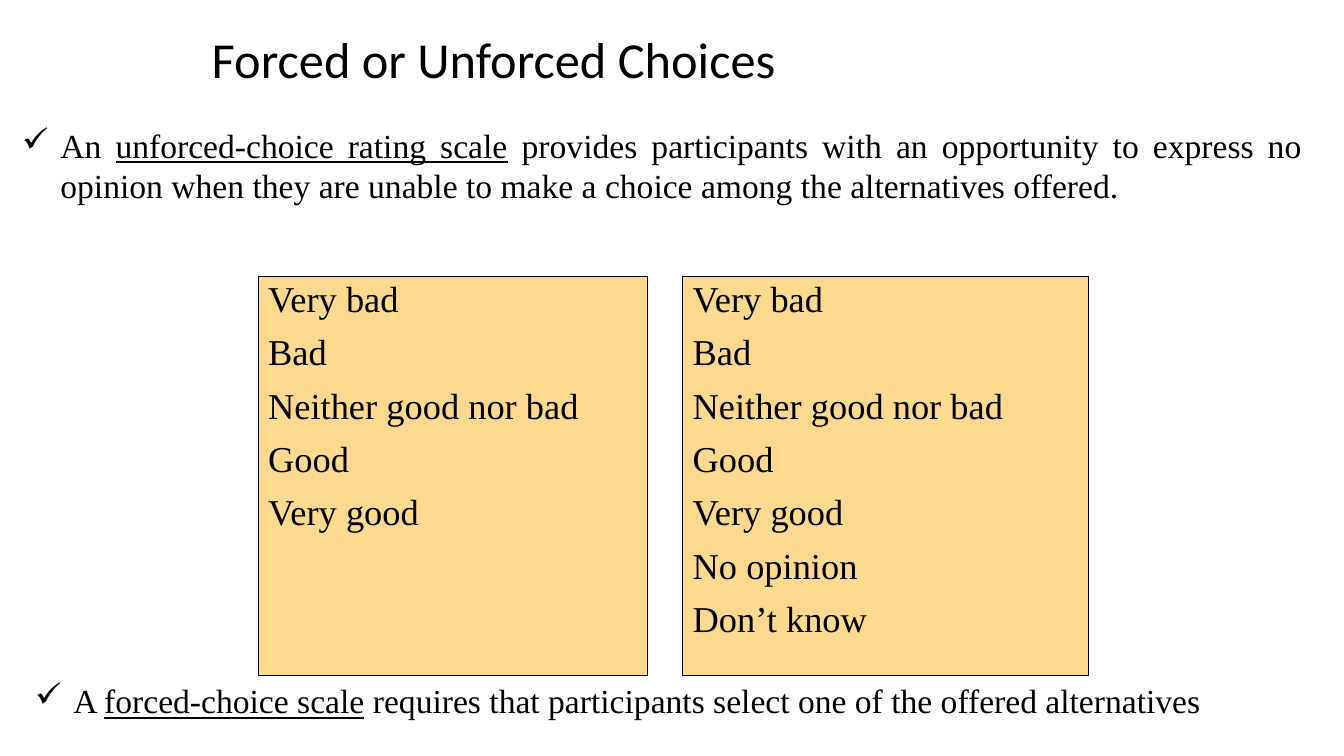
"""Build a slide comparing forced and unforced choice rating scales."""
import pptx
import pptx.dml.color
import pptx.enum.text
import pptx.oxml.xmlchemy
import pptx.util
from pptx.util import Inches

ALIGN = pptx.enum.text.PP_ALIGN
ANCHOR = pptx.enum.text.MSO_ANCHOR
AUTO_SIZE = pptx.enum.text.MSO_AUTO_SIZE
SERIF = "Times New Roman"
RATINGS = ["Very bad", "Bad", "Neither good nor bad", "Good", "Very good"]


def color(value):
    return pptx.dml.color.RGBColor.from_string(value)


def apply(target, values):
    for name, value in values.items():
        setattr(target, name, value)


def place(shape, left, top, width, height):
    apply(shape, {"left": Inches(left), "top": Inches(top),
                  "width": Inches(width), "height": Inches(height)})


def prepare_frame(shape):
    frame = shape.text_frame
    apply(frame, {"word_wrap": True, "auto_size": AUTO_SIZE.NONE,
                  "vertical_anchor": ANCHOR.TOP})
    return frame


def set_bullet(para, mark=None, indent=0):
    properties = para._p.get_or_add_pPr()
    properties.set("marL", str(int(Inches(indent))))
    properties.set("indent", str(-int(Inches(indent))))
    tag = "a:buChar" if mark else "a:buNone"
    bullet = pptx.oxml.xmlchemy.OxmlElement(tag)
    if mark:
        bullet.set("char", mark)
    properties.append(bullet)


def set_font(font, size, name=SERIF):
    apply(font, {"size": pptx.util.Pt(size), "name": name})
    font.color.rgb = color("000000")


def write_title(title, text):
    place(title, 2, 0.3, 9, 1.25)
    para = prepare_frame(title).paragraphs[0]
    apply(para, {"alignment": ALIGN.LEFT, "line_spacing": 0.9})
    span = para.add_run()
    span.text = text
    set_font(span.font, 36, "Calibri")


def write_scale(box, left, width, choices):
    place(box, left, 2.74, width, 3.96)
    box.fill.solid()
    box.fill.fore_color.rgb = color("FDD88F")
    box.line.color.rgb = color("000000")
    box.line.width = pptx.util.Pt(0.75)
    frame = prepare_frame(box)
    for index, choice in enumerate(choices):
        para = frame.add_paragraph() if index else frame.paragraphs[0]
        set_bullet(para)
        apply(para, {"alignment": ALIGN.JUSTIFY, "line_spacing": 0.9,
                     "space_before": pptx.util.Pt(10 if index else 0)})
        span = para.add_run()
        span.text = choice
        set_font(span.font, 26)


def add_definition(slide, position, before, term, after):
    box = slide.shapes.add_textbox(*map(Inches, position))
    para = prepare_frame(box).paragraphs[0]
    set_bullet(para, "✓", 0.38)
    para.alignment = ALIGN.JUSTIFY
    for text, underlined in ((before, False), (term, True), (after, False)):
        span = para.add_run()
        span.text = text
        set_font(span.font, 24)
        span.font.underline = underlined


def main():
    deck = pptx.Presentation()
    apply(deck, {"slide_width": Inches(13.33), "slide_height": Inches(7.5)})
    slide = deck.slides.add_slide(deck.slide_layouts[3])
    write_title(slide.shapes.title, "Forced or Unforced Choices")
    write_scale(slide.placeholders[1], 2.56, 3.86, RATINGS)
    write_scale(slide.placeholders[2], 6.77, 4.03,
                RATINGS + ["No opinion", "Don’t know"])
    add_definition(slide, (0.12, 1.19, 12.89, 0.91),
                   "An ", "unforced-choice rating scale",
                   " provides participants with an opportunity to express no opinion"
                   " when they are unable to make a choice among the alternatives offered.")
    add_definition(slide, (0.25, 6.7, 12.77, 0.5),
                   "A ", "forced-choice scale",
                   " requires that participants select one of the offered alternatives")
    deck.save("out.pptx")


if __name__ == "__main__":
    main()
